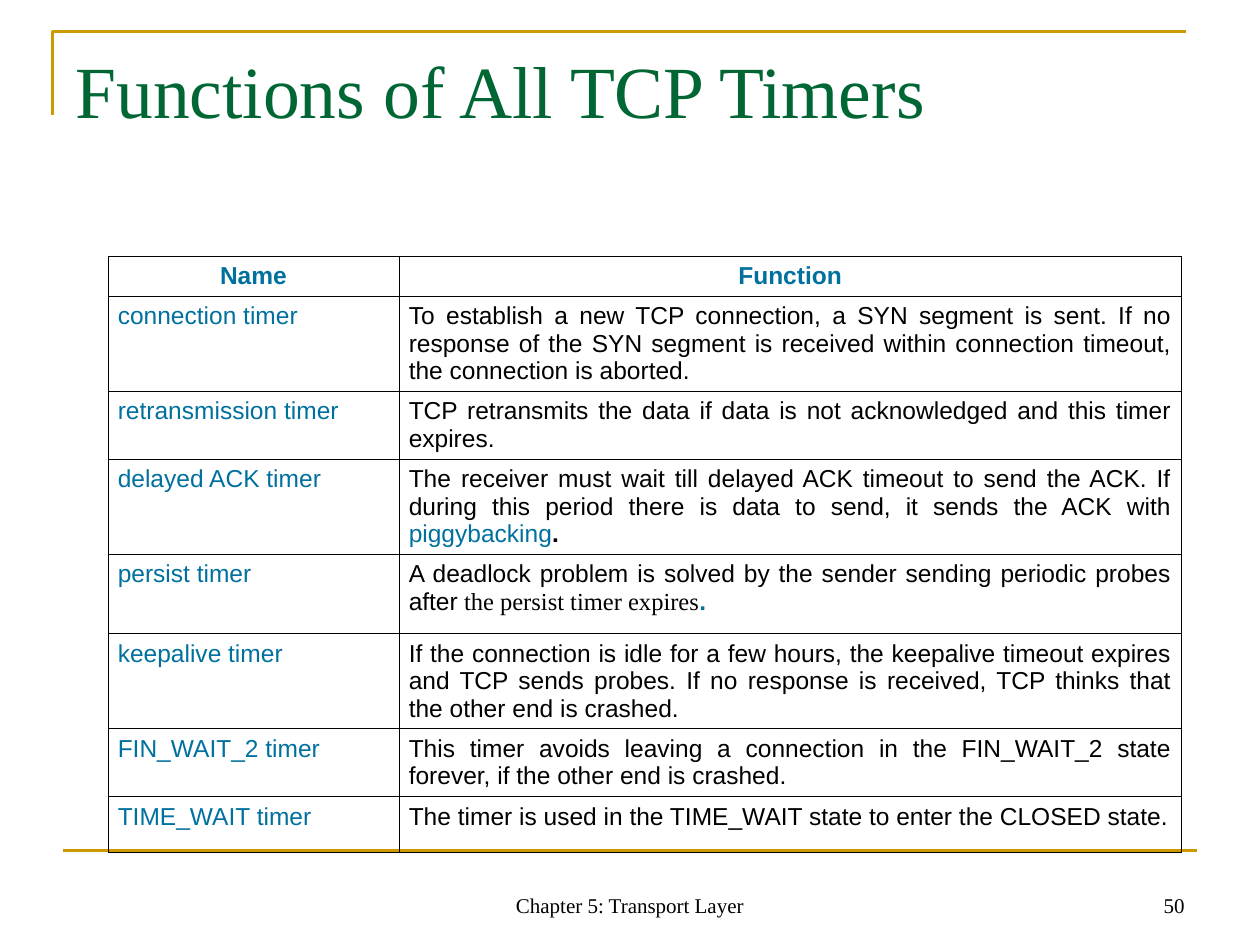
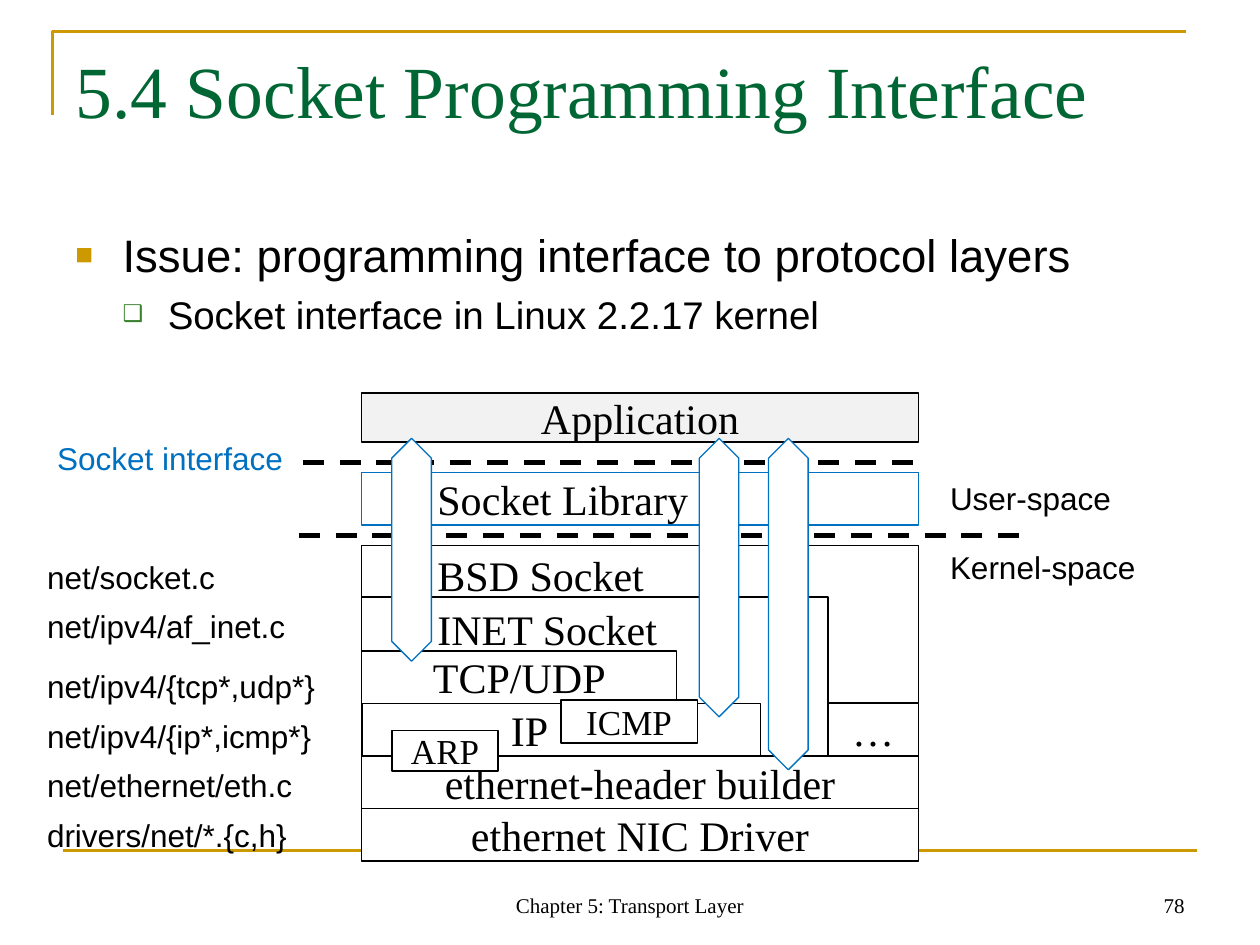
from lxml.etree import SubElement
from pptx import Presentation
from pptx.dml.color import RGBColor
from pptx.enum.dml import MSO_LINE
from pptx.enum.shapes import MSO_CONNECTOR, MSO_SHAPE
from pptx.enum.text import MSO_ANCHOR, MSO_AUTO_SIZE, PP_ALIGN
from pptx.oxml.ns import qn
from pptx.util import Pt

SERIF, SANS = "Times New Roman", "Arial"
BLACK, WHITE, GREY = "000000", "FFFFFF", "F2F2F2"
GOLD, GREEN, LEAF = "CC9900", "006633", "3B812F"
TEAL, BLUE = "00709F", "0070C0"
LEFT, CENTER, RIGHT, JUSTIFY = (PP_ALIGN.LEFT, PP_ALIGN.CENTER,
                                PP_ALIGN.RIGHT, PP_ALIGN.JUSTIFY)

TIMERS = [
    ("connection timer", 54.3,
     [("To establish a new TCP connection, a SYN segment is sent. If no response of the "
       "SYN segment is received within connection timeout, the connection is aborted.",)]),
    ("retransmission timer", 38.8,
     [("TCP retransmits the data if data is not acknowledged and this timer expires.",)]),
    ("delayed ACK timer", 54.3,
     [("The receiver must wait till delayed ACK timeout to send the ACK. If during this "
       "period there is data to send, it sends the ACK with ",),
      ("piggybacking", TEAL), (".", BLACK, SANS, True)]),
    ("persist timer", 45.3,
     [("A deadlock problem is solved by the sender sending periodic probes after",),
      (" the persist timer expires", BLACK, SERIF), (".", TEAL, SANS, True)]),
    ("keepalive timer", 54.3,
     [("If the connection is idle for a few hours, the keepalive timeout expires and TCP "
       "sends probes. If no response is received, TCP thinks that the other end is "
       "crashed.",)]),
    ("FIN_WAIT_2 timer", 38.8,
     [("This timer avoids leaving a connection in the FIN_WAIT_2 state forever, if the "
       "other end is crashed.",)]),
    ("TIME_WAIT timer", 32,
     [("The timer is used in the TIME_WAIT state to enter the CLOSED state.",)]),
]


# Shared helpers
def rgb(value):
    return RGBColor.from_string(value)


def style_run(run, size, color=BLACK, font=SANS, bold=False):
    run.font.size = Pt(size)
    run.font.name = font
    run.font.bold = bold
    run.font.color.rgb = rgb(color)


def write(frame, text, size, color=BLACK, font=SANS, align=LEFT, anchor=MSO_ANCHOR.TOP):
    frame.text = text
    frame.word_wrap = True
    frame.vertical_anchor = anchor
    frame.paragraphs[0].alignment = align
    style_run(frame.paragraphs[0].runs[0], size, color, font)


def set_insets(target, left, top, right, bottom):
    target.margin_left, target.margin_top = Pt(left), Pt(top)
    target.margin_right, target.margin_bottom = Pt(right), Pt(bottom)


def add_label(slide, box, text, size, **style):
    label = slide.shapes.add_textbox(*map(Pt, box))
    write(label.text_frame, text, size, **style)


def add_rule(slide, x1, x2, y, color, width, dash=None):
    rule = slide.shapes.add_connector(MSO_CONNECTOR.STRAIGHT, Pt(x1), Pt(y), Pt(x2), Pt(y))
    rule.line.color.rgb = rgb(color)
    rule.line.width = Pt(width)
    if dash:
        rule.line.dash_style = dash
    SubElement(rule._element.spPr, qn("a:effectLst"))


def add_outlined(slide, kind, box, fill=WHITE, line=BLACK):
    shape = slide.shapes.add_shape(kind, *map(Pt, box))
    shape.shadow.inherit = False
    shape.fill.solid()
    shape.fill.fore_color.rgb = rgb(fill)
    shape.line.color.rgb = rgb(line)
    shape.line.width = Pt(0.75)
    return shape


# Frame, title and footer of every slide
def add_base_slide(deck, title_text, page):
    slide = deck.slides.add_slide(deck.slide_layouts[5])

    outline = slide.shapes.build_freeform(Pt(30), Pt(66))
    outline.add_line_segments([(Pt(30), Pt(18)), (Pt(678), Pt(18))], close=False)
    corner = outline.convert_to_shape()
    corner.shadow.inherit = False
    corner.fill.background()
    corner.line.color.rgb = rgb(GOLD)
    corner.line.width = Pt(1.5)
    add_rule(slide, 36, 684, 486, GOLD, 1.5)

    title = slide.shapes.title
    title.left, title.top, title.width, title.height = map(Pt, (36, 22.2, 648, 90))
    write(title.text_frame, title_text, 42, color=GREEN, font=SERIF)
    title.text_frame.auto_size = MSO_AUTO_SIZE.NONE

    footer_style = dict(size=12, font=SERIF, anchor=MSO_ANCHOR.BOTTOM)
    add_label(slide, (246, 492, 228, 36), "Chapter 5: Transport Layer",
              align=CENTER, **footer_style)
    add_label(slide, (516, 492, 168, 36), page, align=RIGHT, **footer_style)
    return slide


# Timer table
def set_borders(cell):
    props = cell._tc.get_or_add_tcPr()
    for position, side in enumerate(("a:lnL", "a:lnR", "a:lnT", "a:lnB")):
        edge = SubElement(props, qn(side), w=str(Pt(0.45)))
        fill = SubElement(edge, qn("a:solidFill"))
        SubElement(fill, qn("a:srgbClr"), val=BLACK)
        props.insert(position, edge)


def fill_cell(cell, pieces, align):
    cell.fill.background()
    set_insets(cell, 5.4, 3.6, 5.8, 3.6)
    paragraph = cell.text_frame.paragraphs[0]
    paragraph.alignment = align
    paragraph.line_spacing = Pt(15.7)
    for text, *style in pieces:
        run = paragraph.add_run()
        run.text = text
        style_run(run, 14, *style)
    set_borders(cell)


def add_timer_table(slide, left, top, widths):
    heights = [22.8] + [height for _, height, _ in TIMERS]
    table = slide.shapes.add_table(len(heights), len(widths), Pt(left), Pt(top),
                                   Pt(sum(widths)), Pt(sum(heights))).table
    table.first_row = table.horz_banding = False
    for column, width in zip(table.columns, widths):
        column.width = Pt(width)
    for row, height in zip(table.rows, heights):
        row.height = Pt(height)
    for index, heading in enumerate(("Name", "Function")):
        fill_cell(table.cell(0, index), [(heading, TEAL, SANS, True)], CENTER)
    for index, (name, _, function) in enumerate(TIMERS, start=1):
        fill_cell(table.cell(index, 0), [(name, TEAL)], LEFT)
        fill_cell(table.cell(index, 1), function, JUSTIFY)


# Bulleted introduction
def add_bullet(paragraph, mark, color, percent, margin, hang):
    props = paragraph._p.get_or_add_pPr()
    props.set("marL", str(Pt(margin)))
    props.set("indent", str(-Pt(hang)))
    SubElement(SubElement(props, qn("a:buClr")), qn("a:srgbClr"), val=color)
    SubElement(props, qn("a:buSzPct"), val=str(percent * 1000))
    SubElement(props, qn("a:buFont"), typeface=SANS)
    SubElement(props, qn("a:buChar"), char=mark)


def add_issue(slide, box):
    frame = slide.shapes.add_textbox(*map(Pt, box)).text_frame
    write(frame, "Issue: programming interface to protocol layers", 26)
    add_bullet(frame.paragraphs[0], "■", GOLD, 65, 27, 27)
    kernel = frame.add_paragraph()
    kernel.text = "Socket interface in Linux 2.2.17 kernel"
    add_bullet(kernel, "❑", LEAF, 60, 52.8, 25.8)
    kernel.space_before = Pt(5.5)
    style_run(kernel.runs[0], 22)


# Protocol stack with its space boundaries and access arrows
def add_stack(slide, left, top):
    full, row, lower = 318, 30, 147.4
    indent = 43.2

    def layer(text, x, y, width, height=row, size=24, inset=None, drop=None,
              fill=WHITE, line=BLACK):
        shape = add_outlined(slide, MSO_SHAPE.RECTANGLE,
                             (left + x, top + y, width, height), fill, line)
        write(shape.text_frame, text, size, font=SERIF,
              align=LEFT if inset else CENTER,
              anchor=MSO_ANCHOR.TOP if drop else MSO_ANCHOR.MIDDLE)
        set_insets(shape.text_frame, inset or 3.6, drop or 0, 3.6, 0)

    def boundary(x1, x2, y):
        add_rule(slide, left + x1, left + x2, top + y, BLACK, 3, MSO_LINE.DASH)

    boundary(-33.8, 317.5, 39.6)
    layer("BSD Socket", 0, 87.1, full, 90, inset=indent, drop=2.5)
    layer("INET Socket", 0, 116.6, 266.4, 92.9, inset=indent, drop=3.9)
    layer("TCP/UDP", 0, lower, 180)
    layer("IP", 0, lower + row, 228, inset=85.2)
    layer("ethernet NIC Driver", 0, lower + 3 * row, full)
    layer("ethernet-header builder", 0, lower + 2 * row, full)
    layer("ARP", 17.3, 193, 60.5, 23, size=20)
    layer("ICMP", 113.8, 175.5, 77.8, 24.5, size=20)
    layer("…", 266.4, lower + row, full - 266.4)
    boundary(-36, 384.5, 81.4)
    layer("Socket Library", 0, 45.4, full, inset=indent, line=BLUE)
    layer("Application", 0, 0, full, 28, fill=GREY)

    width = 22.6
    for x, height in ((17.1, 127.4), (232.4, 189.4), (192.8, 159.1)):
        arrow = add_outlined(slide, MSO_SHAPE.UP_DOWN_ARROW,
                             (left + x, top + 25.9, width, height), line=BLUE)
        arrow.adjustments[0] = 0.5
        arrow.adjustments[1] = 0.2 * height / width


# Labels beside the stack
def add_side_labels(slide, left, right):
    height, pitch = 28.8, 28.3
    add_label(slide, (left + 5.8, 247.4, 150, height), "Socket interface", 18, color=BLUE)
    for text, top in (("User-space", 270), ("Kernel-space", 309.6)):
        add_label(slide, (right, top, 125, height), text, 18)
    source_groups = [
        (315.2, ("net/socket.c", "net/ipv4/af_inet.c")),
        (377.8, ("net/ipv4/{tcp*,udp*}", "net/ipv4/{ip*,icmp*}",
                 "net/ethernet/eth.c", "drivers/net/*.{c,h}")),
    ]
    for top, files in source_groups:
        for index, file in enumerate(files):
            add_label(slide, (left, top + index * pitch, 180, height), file, 18)


def main():
    deck = Presentation()
    deck.slide_width, deck.slide_height = Pt(720), Pt(540)

    timers = add_base_slide(deck, "Functions of All TCP Timers", "50")
    add_timer_table(timers, 61.9, 146.4, (166.3, 447.1))

    sockets = add_base_slide(deck, "5.4 Socket Programming Interface", "78")
    add_issue(sockets, (36, 126, 684, 356.4))
    add_stack(sockets, 206.8, 224.6)
    add_side_labels(sockets, 19.8, 535.8)

    deck.save("out.pptx")


if __name__ == "__main__":
    main()
